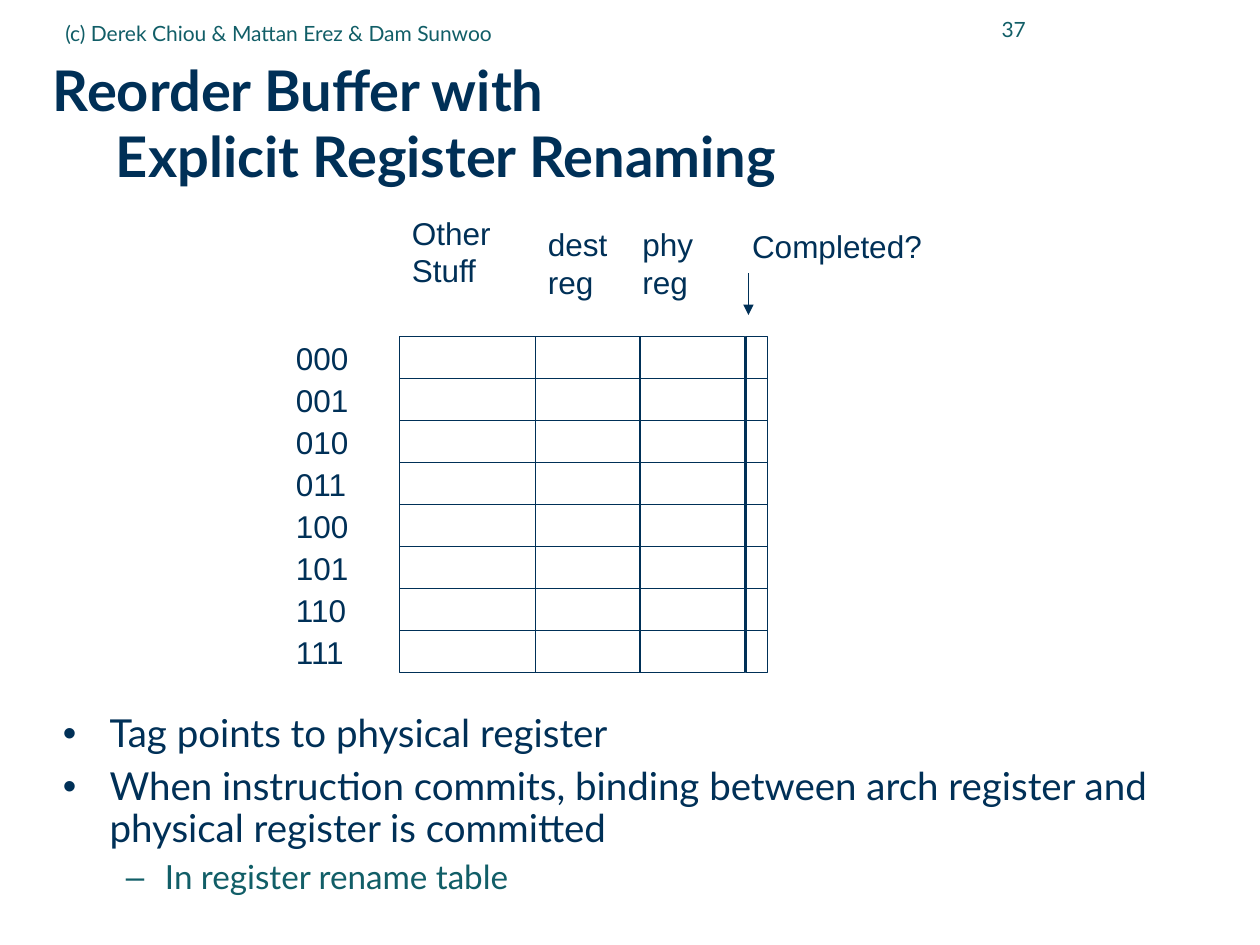
from lxml.etree import SubElement
from pptx import Presentation
from pptx.dml.color import RGBColor
from pptx.enum.shapes import MSO_CONNECTOR, MSO_SHAPE
from pptx.enum.text import MSO_ANCHOR, MSO_AUTO_SIZE, PP_ALIGN
from pptx.oxml.ns import qn
from pptx.util import Inches, Pt

NAVY = RGBColor(0x00, 0x30, 0x57)
TEAL = RGBColor(0x11, 0x5E, 0x67)


def format_text(tf, size, font, color, bold=False):
    for p in tf.paragraphs:
        for r in p.runs:
            r.font.size = Pt(size)
            r.font.name = font
            r.font.bold = bold
            r.font.color.rgb = color


def add_text(text, x, y, w, h, size, font, color, wrap=False):
    tf = slide.shapes.add_textbox(Inches(x), Inches(y), Inches(w), Inches(h)).text_frame
    tf.text = text
    tf.word_wrap = wrap
    tf.vertical_anchor = MSO_ANCHOR.MIDDLE
    format_text(tf, size, font, color)
    return tf


prs = Presentation()
prs.slide_width = Inches(10)
prs.slide_height = Inches(7.5)
slide = prs.slides.add_slide(prs.slide_layouts[5])

title = slide.shapes.title
title.left, title.top = Inches(0.42), Inches(0.5)
title.width, title.height = Inches(9.41), Inches(0.98)
tf = title.text_frame
tf.margin_left = tf.margin_right = tf.margin_top = tf.margin_bottom = 0
tf.auto_size = MSO_AUTO_SIZE.NONE
tf.vertical_anchor = MSO_ANCHOR.MIDDLE
tf.text = "Reorder Buffer with\v\tExplicit Register Renaming"
p = tf.paragraphs[0]
tabs = SubElement(p._p.get_or_add_pPr(), qn("a:tabLst"))
SubElement(tabs, qn("a:tab"), pos=str(Inches(0.5)), algn="l")
p.alignment = PP_ALIGN.LEFT
p.line_spacing = 0.99
format_text(tf, 32, "Lato", NAVY, bold=True)

tf = add_text("37", 7.33, -0.02, 0.91, 0.5, 12, "Lato", TEAL, wrap=True)
tf.paragraphs[0].alignment = PP_ALIGN.RIGHT
add_text("(c) Derek Chiou & Mattan Erez & Dam Sunwoo", 0.42, 0.03, 5.67, 0.46,
         12, "Lato", TEAL, wrap=True)

headers = [
    ("Other\nStuff", 3.17, 1.83, 1.08, 0.33),
    ("dest\nreg", 4.25, 1.92, 0.83, 0.33),
    ("phy\nreg", 5, 1.92, 0.83, 0.33),
    ("Completed?", 5.87, 1.75, 1.55, 0.4),
]
for header in headers:
    add_text(*header, 18, "Arial", NAVY)

row_top, row_height = 2.67, 1 / 3
columns = [(3.17, 1.08), (4.25, 0.83), (5.08, 0.83), (5.92, 0.17)]
for i in range(8):
    y = row_top + i * row_height
    add_text(f"{i:03b}", 2.25, y, 0.83, row_height, 18, "Arial", NAVY)
    for x, w in columns:
        sp = slide.shapes.add_shape(MSO_SHAPE.RECTANGLE, Inches(x), Inches(y),
                                    Inches(w), Inches(row_height))
        sp.shadow.inherit = False
        sp.fill.background()
        sp.line.color.rgb = NAVY
        sp.line.width = Pt(0.75)

arrow = slide.shapes.add_connector(MSO_CONNECTOR.STRAIGHT, Inches(5.94), Inches(2.17),
                                   Inches(5.94), Inches(2.5))
arrow.line.color.rgb = NAVY
arrow.line.width = Pt(0.75)
SubElement(arrow.line._get_or_add_ln(), qn("a:tailEnd"), type="triangle")
SubElement(arrow._element.spPr, qn("a:effectLst"))

bullets = [
    ("Tag points to physical register", 0, "•", 0.37, 0.37, 0, 22, NAVY),
    ("When instruction commits, binding between arch register and "
     "physical register is committed", 0, "•", 0.37, 0.37, 6.5, 22, NAVY),
    ("In register rename table", 1, "–", 0.81, 0.31, 6, 19, TEAL),
]
tf = slide.shapes.add_textbox(Inches(0.5), Inches(5.67), Inches(9.33), Inches(1.82)).text_frame
tf.word_wrap = True
tf.margin_left = tf.margin_right = tf.margin_top = tf.margin_bottom = 0
tf.text = "\n".join(bullet[0] for bullet in bullets)
for p, (_, level, char, margin, hang, before, size, color) in zip(tf.paragraphs, bullets):
    pPr = p._p.get_or_add_pPr()
    pPr.set("marL", str(Inches(margin)))
    pPr.set("indent", str(-Inches(hang)))
    SubElement(SubElement(pPr, qn("a:buClr")), qn("a:srgbClr"), val=str(color))
    SubElement(pPr, qn("a:buFont"), typeface="Arial")
    SubElement(pPr, qn("a:buChar"), char=char)
    p.level = level
    p.line_spacing = 0.9
    p.space_before = Pt(before)
    r = p.runs[0]
    r.font.size = Pt(size)
    r.font.name = "Lato"
    r.font.color.rgb = color

prs.save("out.pptx")
